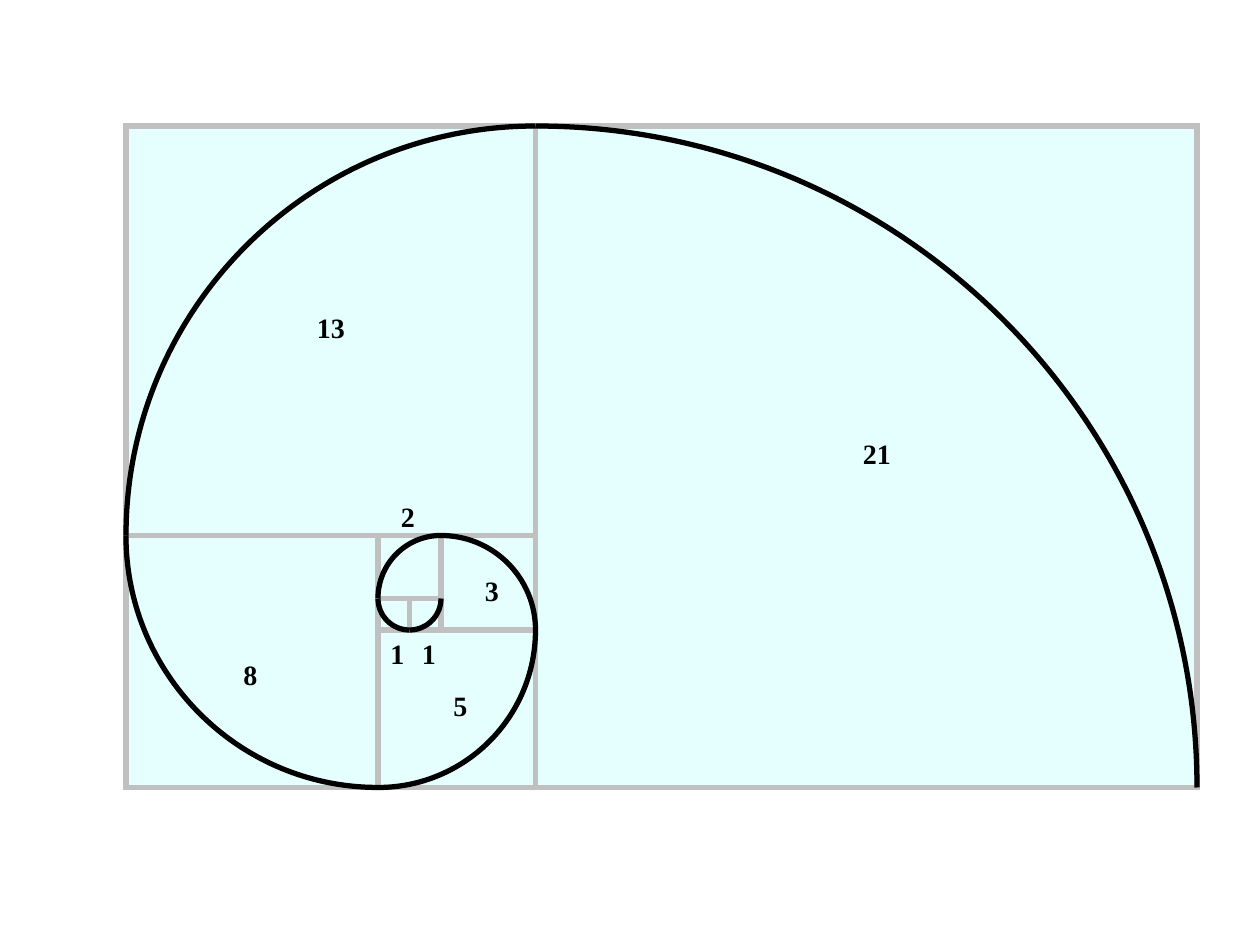
"""Draw a Fibonacci spiral over its tiling of squares."""
from dataclasses import dataclass
from itertools import cycle
from typing import Iterator

from lxml.etree import SubElement
from pptx import Presentation
from pptx.dml.color import RGBColor
from pptx.enum.shapes import MSO_SHAPE
from pptx.enum.text import MSO_AUTO_SIZE
from pptx.oxml.ns import qn
from pptx.slide import Slide
from pptx.util import Inches, Length, Pt

UNIT = 0.25
SIZES = (1, 1, 2, 3, 5, 8, 13, 21)
ARC_HANDLE = 0.5523


@dataclass(frozen=True)
class Theme:
    tile: RGBColor = RGBColor(0xCC, 0xFF, 0xFF)
    tile_opacity: int = 50
    edge: RGBColor = RGBColor(0xC0, 0xC0, 0xC0)
    ink: RGBColor = RGBColor(0, 0, 0)
    stroke: Length = Pt(3)
    font: str = "Times New Roman"
    label_size: Length = Pt(16)


@dataclass(frozen=True)
class Turn:
    grow_across: int
    grow_down: int
    curve_across: int
    curve_down: int


@dataclass(frozen=True)
class Square:
    column: int
    row: int
    size: int
    turn: Turn


@dataclass(frozen=True)
class Label:
    text: str
    column: float
    row: float


THEME = Theme()
BELOW, LEFT, ABOVE, RIGHT = (
    Turn(0, 1, 1, 1),
    Turn(-1, 0, -1, 1),
    Turn(0, -1, -1, -1),
    Turn(1, 0, 1, -1),
)
LABELS = (
    Label("1", 13, 20),
    Label("1", 12, 20),
    Label("2", 12.33, 15.67),
    Label("3", 15, 18),
    Label("5", 14, 21.67),
    Label("8", 7.33, 20.67),
    Label("13", 9.67, 9.67),
    Label("21", 27, 13.67),
)


def grid(cells: float) -> Length:
    """Turn grid cells into a length."""
    return Inches(cells * UNIT)


def spiral_squares(column: int, row: int) -> Iterator[Square]:
    """Place each square against the next side of the growing rectangle."""
    left, top, right, bottom = column, row, column, row + 1
    for size, turn in zip(SIZES, cycle((BELOW, LEFT, ABOVE, RIGHT))):
        if turn is BELOW and left == right:
            square = Square(column, row, size, turn)
        else:
            square = Square(
                {-1: left - size, 0: left, 1: right}[turn.grow_across],
                {-1: top - size, 0: top, 1: bottom}[turn.grow_down],
                size,
                turn,
            )
        left, top = min(left, square.column), min(top, square.row)
        right = max(right, square.column + size)
        bottom = max(bottom, square.row + size)
        yield square


def add_square(slide: Slide, square: Square) -> None:
    """Add one translucent, outlined tile."""
    side = grid(square.size)
    tile = slide.shapes.add_shape(
        MSO_SHAPE.RECTANGLE, grid(square.column), grid(square.row), side, side
    )
    tile.shadow.inherit = False
    tile.fill.solid()
    tile.fill.fore_color.rgb = THEME.tile
    tile.line.color.rgb = THEME.edge
    tile.line.width = THEME.stroke
    color = tile._element.spPr.find(qn("a:solidFill")).find(qn("a:srgbClr"))
    SubElement(color, qn("a:alpha"), val=str(THEME.tile_opacity * 1000))
    SubElement(tile._element.spPr.find(qn("a:ln")), qn("a:miter"), lim="800000")


def add_arc(slide: Slide, square: Square) -> None:
    """Add the quarter circle that crosses a square."""
    side, turn = grid(square.size), square.turn
    left, top = grid(square.column), grid(square.row)
    center_x = 0 if turn.curve_across > 0 else side
    center_y = 0 if turn.curve_down > 0 else side
    reach_x, reach_y = turn.curve_across * side, turn.curve_down * side
    start = (center_x, center_y + reach_y)
    end = (center_x + reach_x, center_y)
    builder = slide.shapes.build_freeform(left + start[0], top + start[1])
    builder.add_line_segments([(left + end[0], top + end[1])], close=False)
    arc = builder.convert_to_shape()
    arc.shadow.inherit = False
    arc.fill.background()
    arc.line.color.rgb = THEME.ink
    arc.line.width = THEME.stroke
    segment = arc._element.xpath(".//a:lnTo")[0]
    outline = segment.getparent()
    outline.remove(segment)
    curve = SubElement(outline, qn("a:cubicBezTo"))
    handles = (
        (center_x + ARC_HANDLE * reach_x, start[1]),
        (end[0], center_y + ARC_HANDLE * reach_y),
    )
    for x, y in (*handles, end):
        SubElement(curve, qn("a:pt"), x=str(round(x)), y=str(round(y)))


def add_text(
    slide: Slide,
    text: str,
    *,
    column: float,
    row: float,
    size: Length = THEME.label_size,
    color: RGBColor = THEME.ink,
    bold: bool = True,
) -> None:
    """Add one line of text in a box that fits it."""
    width = Inches(0.19 + 0.13 * len(text))
    box = slide.shapes.add_textbox(grid(column), grid(row), width, Inches(0.37))
    box.text_frame.word_wrap = False
    box.text_frame.auto_size = MSO_AUTO_SIZE.SHAPE_TO_FIT_TEXT
    span = box.text_frame.paragraphs[0].add_run()
    span.text = text
    span.font.name = THEME.font
    span.font.size = size
    span.font.bold = bold
    span.font.color.rgb = color


def main() -> None:
    """Build and save the deck."""
    deck = Presentation()
    deck.slide_width, deck.slide_height = grid(40), grid(30)
    page = deck.slides.add_slide(deck.slide_layouts[6])
    squares = list(spiral_squares(column=13, row=19))
    for square in squares:
        add_square(page, square)
    for square in squares:
        add_arc(page, square)
    for label in LABELS:
        add_text(page, label.text, column=label.column, row=label.row)
    deck.save("out.pptx")


if __name__ == "__main__":
    main()
